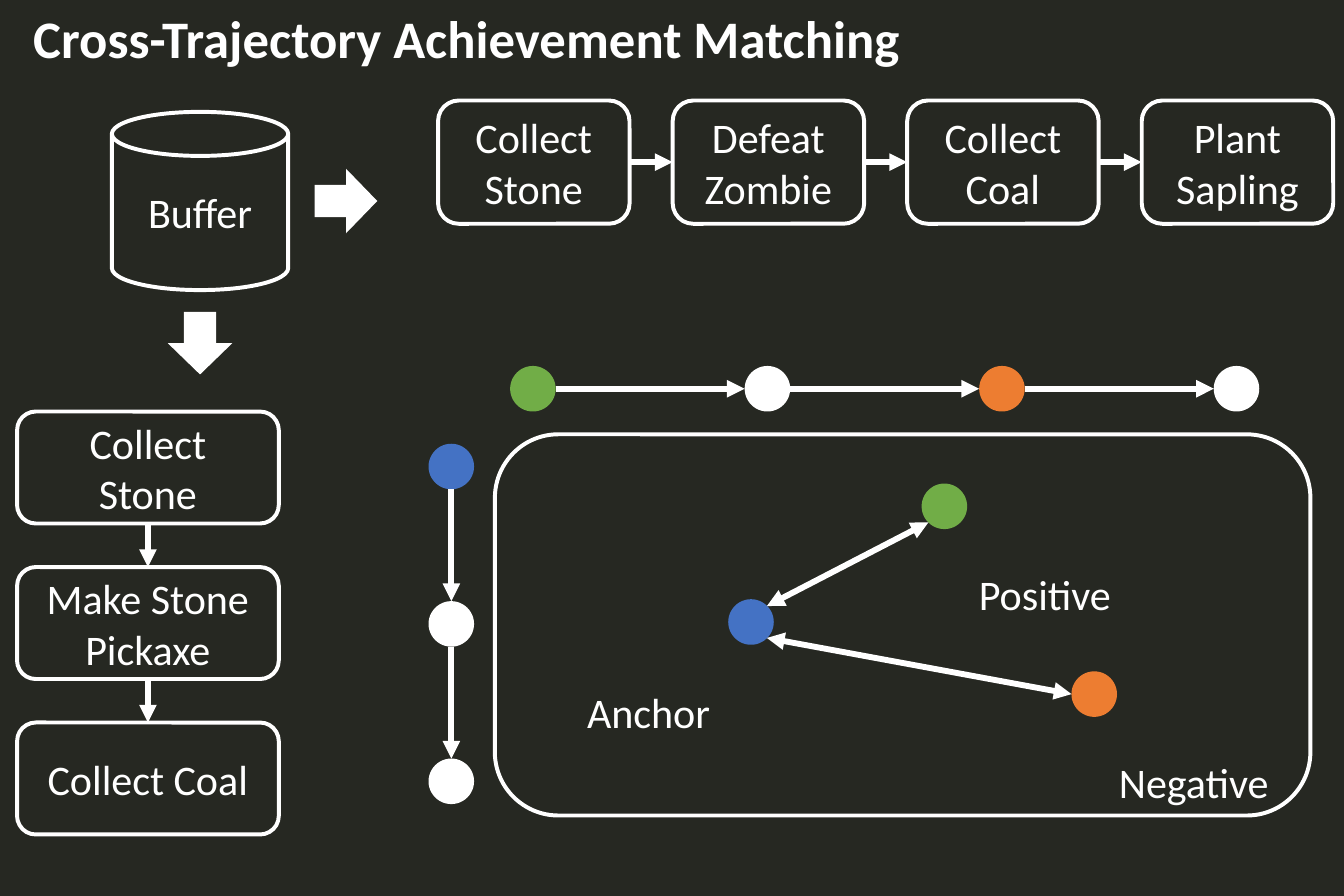
import pptx
import pptx.dml.color
import pptx.enum.shapes
import pptx.enum.text
import pptx.oxml
import pptx.oxml.ns
import pptx.util
from lxml import etree

Inches = pptx.util.Inches
SHAPE = pptx.enum.shapes.MSO_SHAPE
COLORS = {
    "background": "262822",
    "white": "FFFFFF",
    "blue": "4472C4",
    "green": "71AD47",
    "orange": "ED7D31",
}
FONT = "Calibri"
DOT = 0.24
CM_PER_INCH = 2.54


def rgb(name):
    return pptx.dml.color.RGBColor.from_string(COLORS[name])


def write(shape, text, size=16, bold=False):
    frame = shape.text_frame
    frame.word_wrap = True
    paragraph = frame.paragraphs[0]
    paragraph.alignment = pptx.enum.text.PP_ALIGN.CENTER
    run = paragraph.add_run()
    run.text = text
    run.font.name = FONT
    run.font.size = pptx.util.Pt(size)
    run.font.bold = bold
    run.font.color.rgb = rgb("white")


def add_shape(slide, kind, left, top, width, height, fill=None, text=None):
    """Filled shape without a line, or a white outline when no fill is given."""
    shape = slide.shapes.add_shape(
        kind, Inches(left), Inches(top), Inches(width), Inches(height))
    shape.shadow.inherit = False
    if fill:
        shape.fill.solid()
        shape.fill.fore_color.rgb = rgb(fill)
        shape.line.fill.background()
    else:
        shape.fill.background()
        shape.line.color.rgb = rgb("white")
        shape.line.width = pptx.util.Pt(1.5)
    if text:
        write(shape, text)
    return shape


def add_label(slide, text, left, top, width):
    label = slide.shapes.add_textbox(
        Inches(left), Inches(top), Inches(width), Inches(0.37))
    write(label, text)
    label.text_frame.auto_size = pptx.enum.text.MSO_AUTO_SIZE.SHAPE_TO_FIT_TEXT


def add_arrow(slide, start, end, both_ends=False):
    connector = slide.shapes.add_connector(
        pptx.enum.shapes.MSO_CONNECTOR.STRAIGHT,
        *(Inches(value) for value in (*start, *end)))
    connector.line.color.rgb = rgb("white")
    connector.line.width = pptx.util.Pt(2.25)
    line = connector.line._get_or_add_ln()
    for tag in (["a:headEnd"] if both_ends else []) + ["a:tailEnd"]:
        etree.SubElement(line, pptx.oxml.ns.qn(tag), type="triangle")
    etree.SubElement(connector._element.spPr, pptx.oxml.ns.qn("a:effectLst"))
    return connector


def add_chain(slide, items, left, top, width, height, item_width, item_height, dots=False):
    """Spread labelled boxes or coloured dots over the area and link them by arrows."""
    gaps = len(items) - 1
    step_x = (width - item_width) / gaps
    step_y = (height - item_height) / gaps
    horizontal = step_x > step_y
    previous = None
    for index, item in enumerate(items):
        x, y = left + index * step_x, top + index * step_y
        if dots:
            shape = add_shape(slide, SHAPE.OVAL, x, y, item_width, item_height, fill=item)
        else:
            shape = add_shape(
                slide, SHAPE.ROUNDED_RECTANGLE, x, y, item_width, item_height, text=item)
        if previous:
            if horizontal:
                end = (x, y + item_height / 2)
                start = (x - step_x + item_width, end[1])
            else:
                end = (x + item_width / 2, y)
                start = (end[0], y - step_y + item_height)
            arrow = add_arrow(slide, start, end)
            if not dots:
                arrow.begin_connect(previous, 3 if horizontal else 2)
                arrow.end_connect(shape, 1 if horizontal else 0)
        previous = shape


def add_title(slide, left, top, width, height):
    title = slide.shapes.title
    title.left, title.top = Inches(left), Inches(top)
    title.width, title.height = Inches(width), Inches(height)
    write(title, "Cross-Trajectory Achievement Matching", size=20, bold=True)
    title.text_frame.vertical_anchor = pptx.enum.text.MSO_ANCHOR.TOP
    title.text_frame.auto_size = pptx.enum.text.MSO_AUTO_SIZE.SHAPE_TO_FIT_TEXT


def add_buffer(slide, left, top, width, height):
    """Buffer cylinder with block arrows to both trajectories."""
    add_shape(slide, SHAPE.CAN, left, top, width, height, text="Buffer")
    add_shape(slide, SHAPE.RIGHT_ARROW,
              left + width + 0.14, top + 0.3, 0.33, 0.34, fill="white")
    down_arrow = add_shape(slide, SHAPE.RIGHT_ARROW,
                           left + 0.3, top + height + 0.11, 0.33, 0.34, fill="white")
    down_arrow.rotation = 90


def add_matching_panel(slide, left, top, width, height):
    """Anchor dot compared with its positive and negative matches."""
    add_shape(slide, SHAPE.ROUNDED_RECTANGLE, left, top, width, height)
    anchor = (left + 1.23, top + 0.87)
    positive = (left + 2.25, top + 0.26)
    negative = (left + 3.04, top + 1.25)
    for (x, y), color in ((anchor, "blue"), (positive, "green"), (negative, "orange")):
        add_shape(slide, SHAPE.OVAL, x, y, DOT, DOT, fill=color)

    # Arrows meet the dots on their diagonals, or at the left side
    near, far = 0.15 * DOT, 0.85 * DOT
    add_arrow(slide, (anchor[0] + far, anchor[1] + far),
              (negative[0], negative[1] + DOT / 2), both_ends=True)
    add_arrow(slide, (positive[0] + near, positive[1] + far),
              (anchor[0] + far, anchor[1] + near), both_ends=True)

    add_label(slide, "Anchor", left + 0.28, top + 1.28, 1.06)
    add_label(slide, "Positive", left + 2.37, top + 0.66, 1.06)
    add_label(slide, "Negative", left + 3.1, top + 1.65, 1.17)


def main():
    # The page measures 18 by 12 centimetres
    presentation = pptx.Presentation()
    presentation.slide_width = Inches(18 / CM_PER_INCH)
    presentation.slide_height = Inches(12 / CM_PER_INCH)
    slide = presentation.slides.add_slide(presentation.slide_layouts[5])
    slide.background.fill.solid()
    slide.background.fill.fore_color.rgb = rgb("background")

    add_title(slide, -0.11, -0.02, 5.14, 0.44)
    add_buffer(slide, 0.59, 0.59, 0.93, 0.94)

    # Trajectories of achievements
    add_chain(slide, ["Collect Stone", "Defeat Zombie", "Collect Coal", "Plant Sapling"],
              2.31, 0.53, 4.72, 0.65, 1.01, 0.65)
    add_chain(slide, ["Collect Stone", "Make Stone Pickaxe", "Collect Coal"],
              0.09, 2.17, 1.38, 2.23, 1.38, 0.59)

    # Their representations
    add_chain(slide, ["green", "white", "orange", "white"],
              2.69, 1.93, 3.95, DOT, DOT, DOT, dots=True)
    add_chain(slide, ["blue", "white", "white"],
              2.26, 2.34, DOT, 1.9, DOT, DOT, dots=True)

    add_matching_panel(slide, 2.61, 2.29, 4.3, 2.01)
    presentation.save("out.pptx")


if __name__ == "__main__":
    main()
